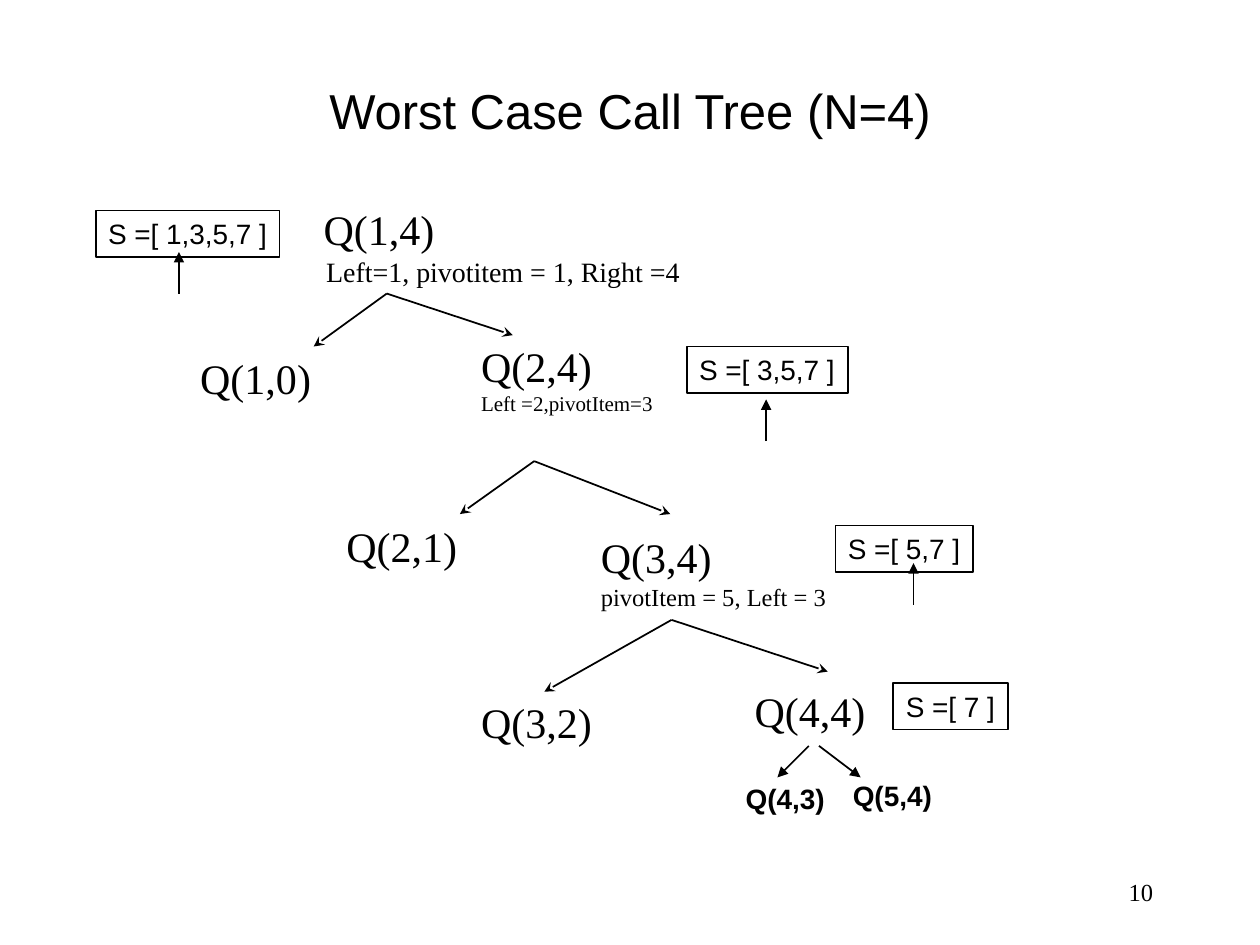
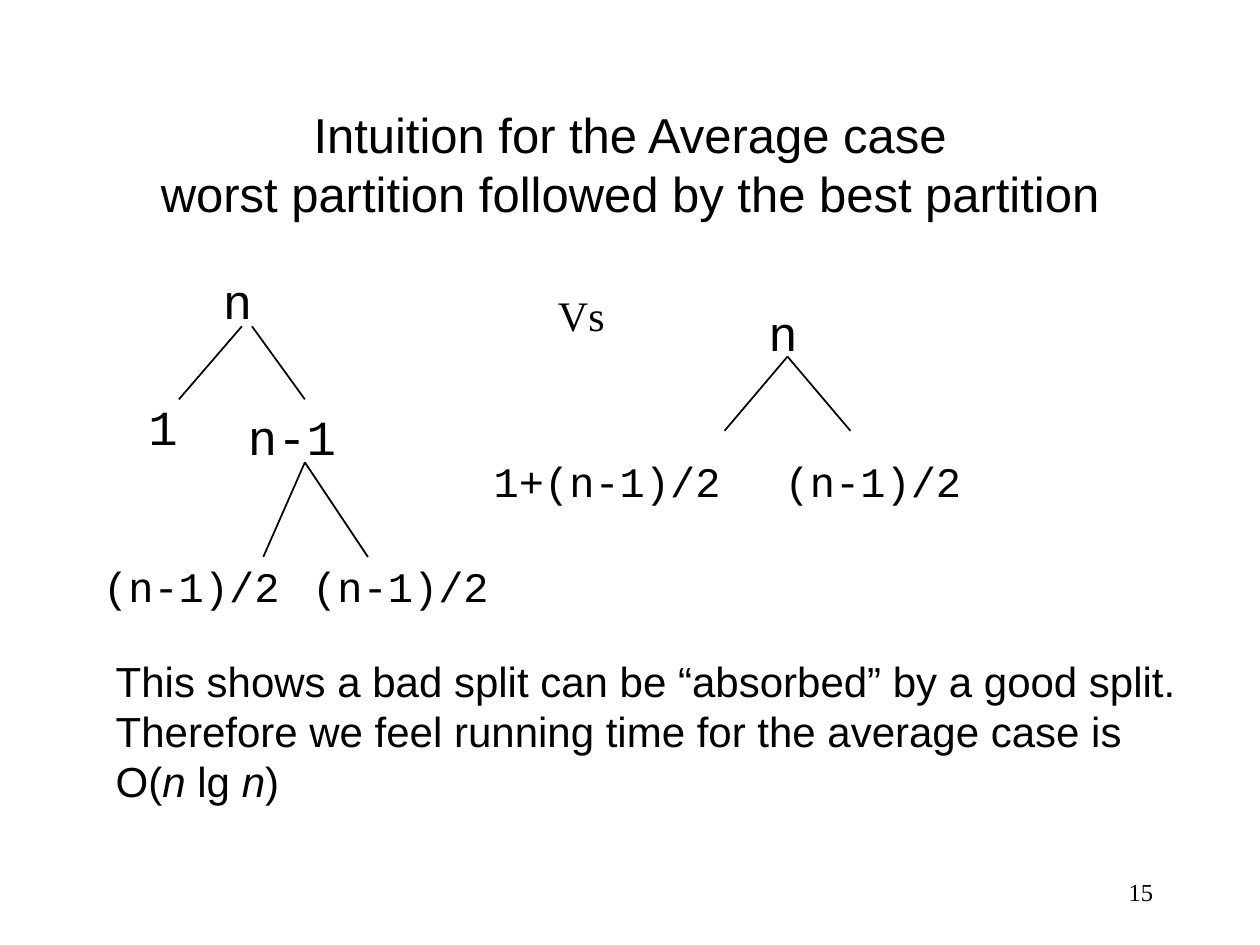
import pptx
import pptx.dml.color
import pptx.enum.shapes
import pptx.enum.text
import pptx.oxml
import pptx.oxml.ns
import pptx.util
from pptx.util import Inches

BLACK = pptx.dml.color.RGBColor(0x00, 0x00, 0x00)
SANS, SERIF, MONO = "Arial", "Times New Roman", "Courier New"
ALIGN = pptx.enum.text.PP_ALIGN
ANCHOR = pptx.enum.text.MSO_ANCHOR
RECTANGLE = pptx.enum.shapes.MSO_SHAPE.RECTANGLE
STRAIGHT = pptx.enum.shapes.MSO_CONNECTOR.STRAIGHT
GROW = pptx.enum.text.MSO_AUTO_SIZE.SHAPE_TO_FIT_TEXT

NODE = {"name": SERIF, "size": 24}
MONO_LARGE = {"name": MONO, "size": 28}
MONO_SMALL = {"name": MONO, "size": 24}
ARRAY = {"name": SANS, "size": 16}
LEAF = {"name": SANS, "size": 16, "bold": True}
BODY = {"name": SANS, "size": 24}
ITALIC = {**BODY, "italic": True}
TITLE = {"name": SANS, "size": 28}
NUMBER = {"name": SERIF, "size": 14}


class Deck:
    """Holds the shared style and the current slide, and draws each kind of element."""

    def __init__(self):
        self.presentation = pptx.Presentation()
        self.presentation.slide_width = Inches(10)
        self.presentation.slide_height = Inches(7.5)
        self.slide = None

    def add_slide(self, title_lines, title_top, title_height, number):
        self.slide = self.presentation.slides.add_slide(self.presentation.slide_layouts[6])
        self.frame((0.75, title_top, 8.5, title_height), title_lines, TITLE, ALIGN.CENTER)
        self.frame((7.17, 6.83, 2.08, 0.5), [number], NUMBER, ALIGN.RIGHT)

    def fill_text(self, shape, lines, style, align=ALIGN.LEFT):
        text_frame = shape.text_frame
        for index, line in enumerate(lines):
            paragraph = text_frame.paragraphs[0] if index == 0 else text_frame.add_paragraph()
            paragraph.alignment = align
            for text, run_style in [(line, style)] if isinstance(line, str) else line:
                run = paragraph.add_run()
                run.text = text
                run.font.color.rgb = BLACK
                for key, value in run_style.items():
                    setattr(run.font, key, pptx.util.Pt(value) if key == "size" else value)

    def frame(self, box, lines, style, align):
        shape = self.slide.shapes.add_textbox(*map(Inches, box))
        shape.text_frame.word_wrap = True
        shape.text_frame.vertical_anchor = ANCHOR.MIDDLE
        self.fill_text(shape, lines, style, align)

    def label(self, box, lines, style, wrap=False):
        shape = self.slide.shapes.add_textbox(*map(Inches, box))
        shape.text_frame.word_wrap = wrap
        shape.text_frame.auto_size = GROW
        self.fill_text(shape, lines, style)

    def array_box(self, left, top, width, text):
        shape = self.slide.shapes.add_shape(RECTANGLE, *map(Inches, (left, top, width, 0.37)))
        shape.shadow.inherit = False
        shape.fill.background()
        shape.line.color.rgb = BLACK
        shape.line.width = pptx.util.Pt(1)
        shape.text_frame.word_wrap = False
        shape.text_frame.auto_size = GROW
        shape.text_frame.vertical_anchor = ANCHOR.TOP
        self.fill_text(shape, [text], ARRAY)

    def line(self, start, end, arrowhead=None):
        connector = self.slide.shapes.add_connector(STRAIGHT, *map(Inches, (*start, *end)))
        connector.line.color.rgb = BLACK
        connector.line.width = pptx.util.Pt(1)
        namespace = pptx.oxml.ns.nsdecls("a")
        properties = connector._element.spPr
        if arrowhead:
            outline = properties.find(pptx.oxml.ns.qn("a:ln"))
            outline.append(pptx.oxml.parse_xml(f'<a:tailEnd {namespace} type="{arrowhead}"/>'))
        properties.append(pptx.oxml.parse_xml(f"<a:effectLst {namespace}/>"))

    def branches(self, start, ends, arrowhead=None):
        for end in ends:
            self.line(start, end, arrowhead)


def worst_case_slide(deck):
    deck.add_slide(["Worst Case Call Tree (N=4)"], 0.5, 0.75, "10")

    for left, top, call in (
        (2.47, 1.57, "Q(1,4)"), (1.49, 2.75, "Q(1,0)"), (2.65, 4.08, "Q(2,1)"),
        (3.72, 5.48, "Q(3,2)"), (5.89, 5.39, "Q(4,4)"),
    ):
        deck.label((left, top, 1.08, 0.5), [call], NODE)
    deck.label((2.49, 1.97, 3.01, 0.37), ["Left=1, pivotitem = 1, Right =4"],
               {**NODE, "size": 16})
    deck.label((3.72, 2.65, 1.57, 0.7),
               ["Q(2,4)", [("Left =2,pivotItem=3", {**NODE, "size": 12})]], NODE)
    deck.label((4.67, 4.17, 2.25, 0.73),
               ["Q(3,4)", [("pivotItem = 5, Left = 3", {**NODE, "size": 14})]], NODE, wrap=True)

    for start, ends in (
        ((3.07, 2.33), ((2.49, 2.75), (4.07, 2.66))),
        ((4.24, 3.66), ((3.65, 4.08), (5.32, 4.08))),
        ((5.33, 4.92), ((4.32, 5.49), (6.57, 5.33))),
    ):
        deck.branches(start, ends, "stealth")

    for left, top, width, text in (
        (0.76, 1.67, 1.46, "S =[ 1,3,5,7 ]"), (5.45, 2.75, 1.28, "S =[ 3,5,7 ]"),
        (6.63, 4.17, 1.09, "S =[ 5,7 ]"), (7.09, 5.42, 0.91, "S =[ 7 ]"),
    ):
        deck.array_box(left, top, width, text)
    for pivot_x, tip_y in ((1.42, 2), (6.08, 3.17), (7.25, 4.47)):
        deck.line((pivot_x, tip_y + 0.33), (pivot_x, tip_y), "triangle")

    deck.line((6.42, 5.92), (6.17, 6.17), "triangle")
    deck.line((6.5, 5.92), (6.83, 6.17), "triangle")
    deck.label((5.82, 6.15, 0.83, 0.37), ["Q(4,3)"], LEAF)
    deck.label((6.67, 6.13, 0.83, 0.37), ["Q(5,4)"], LEAF)


def average_case_slide(deck):
    deck.add_slide(["Intuition for the Average case",
                    "worst partition followed by the best partition"], 0.67, 1.25, "15")
    deck.label((4.33, 2.25, 0.57, 0.5), ["Vs"], NODE)

    deck.line((1.92, 2.59), (1.42, 3.17))
    deck.line((2, 2.59), (2.42, 3.17))
    deck.branches((2.42, 3.67), ((2.09, 4.42), (2.92, 4.42)))
    deck.branches((6.25, 2.83), ((5.75, 3.42), (6.75, 3.42)))

    for left, top, width, text in (
        (1.67, 2.1, 0.44, "n"), (1.87, 3.18, 0.9, "n-1"),
        (1.08, 3.1, 0.44, "1"), (6, 2.35, 0.44, "n"),
    ):
        deck.label((left, top, width, 0.57), [text], MONO_LARGE)
    for left, top, width, text in (
        (0.72, 4.4, 1.6, "(n-1)/2"), (2.38, 4.4, 1.6, "(n-1)/2"),
        (3.82, 3.57, 2.2, "1+(n-1)/2"), (6.13, 3.57, 1.6, "(n-1)/2"),
    ):
        deck.label((left, top, width, 0.5), [text], MONO_SMALL)

    deck.label((0.82, 5.15, 8.61, 1.3), [
        "This shows a bad split can be “absorbed” by a good split.",
        "Therefore we feel running time for the average case is",
        [("O(", BODY), ("n", ITALIC), (" lg ", BODY), ("n", ITALIC), (")", BODY)],
    ], BODY)


def main():
    deck = Deck()
    worst_case_slide(deck)
    average_case_slide(deck)
    deck.presentation.save("out.pptx")


if __name__ == "__main__":
    main()
